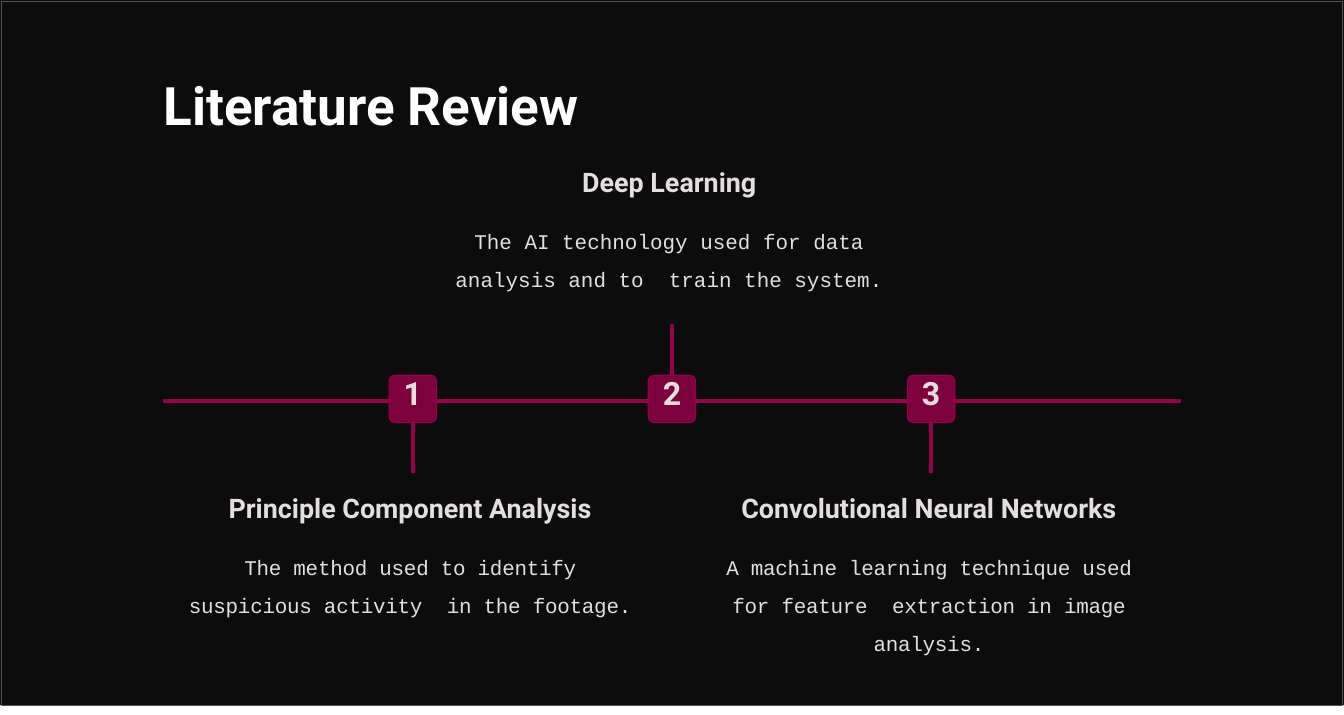
from lxml import etree
from pptx import Presentation
from pptx import util as u
from pptx.dml.color import RGBColor
from pptx.enum import shapes, text
from pptx.oxml import ns

COLORS = {"back": "0C0C0C", "frame": "565050", "title": "FFFFFF",
          "body": "E4DFDE", "node": "7D013C", "line": "970148"}
TITLE = {"name": "Roboto", "size": 35.5, "bold": True, "color": "title"}
NUMBER = {"name": "Roboto", "size": 21.5, "bold": True, "color": "body"}
HEADING = {"name": "Roboto", "size": 18, "bold": True, "color": "body"}
BODY = {"name": "Courier New", "size": 14, "bold": False, "color": "body"}
CENTER = text.PP_ALIGN.CENTER


class Deck:
    """Style and current slide, with one method per kind of element."""

    def __init__(self, width, height):
        self.prs = Presentation()
        self.prs.slide_width = u.Inches(width)
        self.prs.slide_height = u.Inches(height)
        self.s = self.prs.slides.add_slide(self.prs.slide_layouts[6])

    def color(self, name):
        return RGBColor.from_string(COLORS[name])

    def box(self, kind, at, fill=None, line=None):
        sp = self.s.shapes.add_shape(kind, *map(u.Inches, at))
        sp.shadow.inherit = False
        if fill:
            sp.fill.solid()
            sp.fill.fore_color.rgb = self.color(fill)
        else:
            sp.fill.background()
        if line:
            sp.line.color.rgb = self.color(line)
            sp.line.width = u.Pt(0.75)
        else:
            sp.line.fill.background()
        return sp

    def line(self, start, end, width, node=None, site=0):
        cn = self.s.shapes.add_connector(shapes.MSO_CONNECTOR.STRAIGHT,
                                         *map(u.Inches, start + end))
        if node is not None:
            cn.begin_connect(node, site)
        cn.line.color.rgb = self.color("line")
        cn.line.width = u.Pt(width)
        etree.SubElement(cn._element.spPr, ns.qn("a:effectLst"))

    def text(self, at, paragraphs, align=text.PP_ALIGN.LEFT, top=0.01):
        tf = self.s.shapes.add_textbox(*map(u.Inches, at)).text_frame
        tf.word_wrap = True
        tf.margin_left = tf.margin_right = tf.margin_bottom = 0
        tf.margin_top = u.Inches(top)
        for i, (words, style, spacing, before, tracking) in enumerate(paragraphs):
            p = tf.add_paragraph() if i else tf.paragraphs[0]
            layout = {"alignment": align, "line_spacing": spacing,
                      "space_before": u.Pt(before)}
            for key, value in layout.items():
                setattr(p, key, value)
            r = p.add_run()
            r.text = words
            font = {"name": style["name"], "size": u.Pt(style["size"]),
                    "bold": style["bold"]}
            for key, value in font.items():
                setattr(r.font, key, value)
            r.font.color.rgb = self.color(style["color"])
            if tracking:
                r._r.get_or_add_rPr().set("spc", str(tracking))


def main():
    """Build the timeline slide and save it."""
    deck = Deck(12.5, 6.65)
    kinds = shapes.MSO_SHAPE
    deck.box(kinds.RECTANGLE, (0, 0, 12.5, 6.56), fill="back")
    deck.box(kinds.RECTANGLE, (0.01, 0.01, 12.48, 6.55), line="frame")
    deck.text((1.52, 0.65, 4.2, 0.63),
              [("Literature Review", TITLE, 1.0, 1.4, 0)], top=0.02)

    top, size = 3.49, 0.44
    axis = 3.73
    deck.line((1.52, axis), (10.98, axis), 2.5)
    steps = [
        ("Principle Component Analysis",
         "The method used to identify suspicious activity  in the footage.",
         (1.71, 4.56, 4.21, 1.2), 2, 4.4, -20),
        ("Deep Learning",
         "The AI technology used for data analysis and to  train the system.",
         (4.13, 1.53, 4.19, 1.2), 0, 3.01, 0),
        ("Convolutional Neural Networks",
         "A machine learning technique used for feature  extraction in image analysis.",
         (6.59, 4.56, 4.1, 1.2), 2, 4.4, -20),
    ]
    for i, (heading, body, at, site, end, tracking) in enumerate(steps):
        x = 3.84 + 2.41 * i
        node = deck.box(kinds.ROUNDED_RECTANGLE,
                        (x - size / 2, top, size, size), "node", "line")
        node.adjustments[0] = 0.12
        deck.line((x, top), (x, end), 3, node, site)
        deck.text((x - 0.15, 3.46, 0.3, 0.39),
                  [(str(i + 1), NUMBER, 1.0, 1, 0)], CENTER)
        deck.text(at, [(heading, HEADING, 1.0, 0.9, 0),
                       (body, BODY, 1.52, 11.9, tracking)], CENTER)
    deck.prs.save("out.pptx")


if __name__ == "__main__":
    main()
